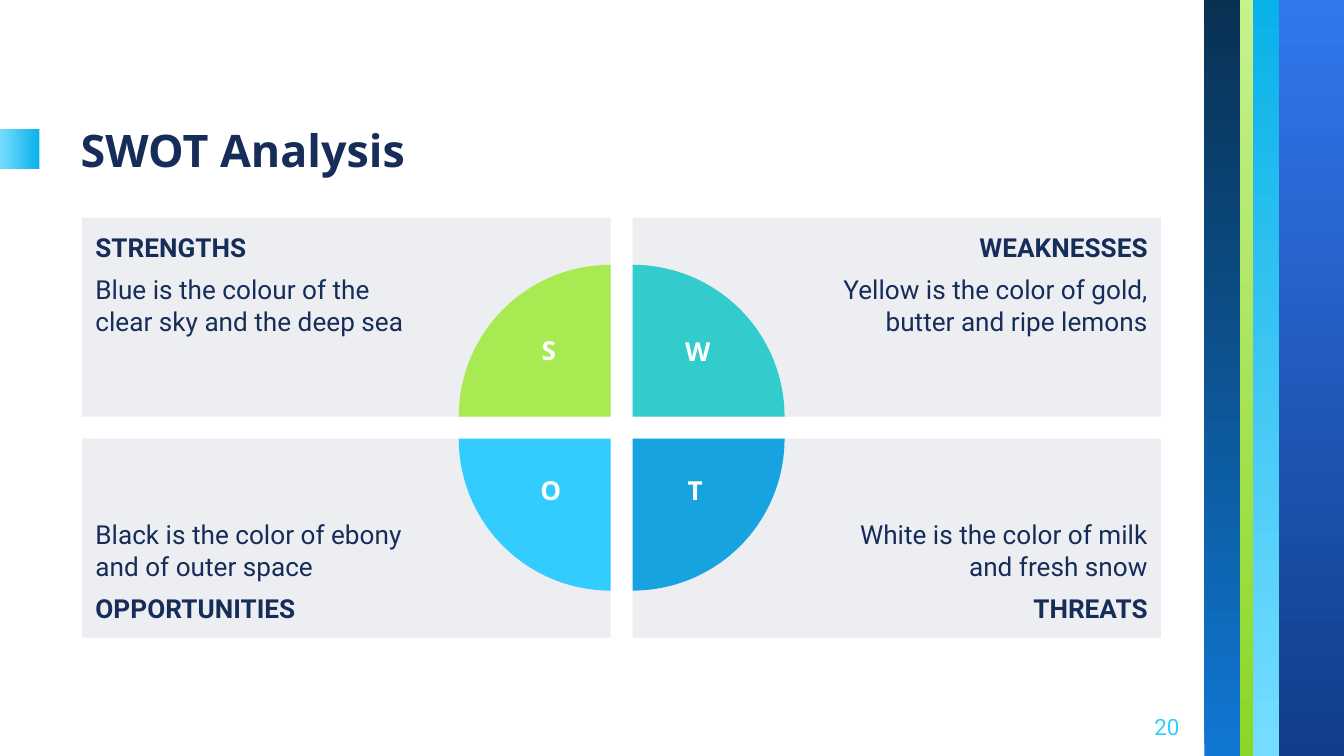
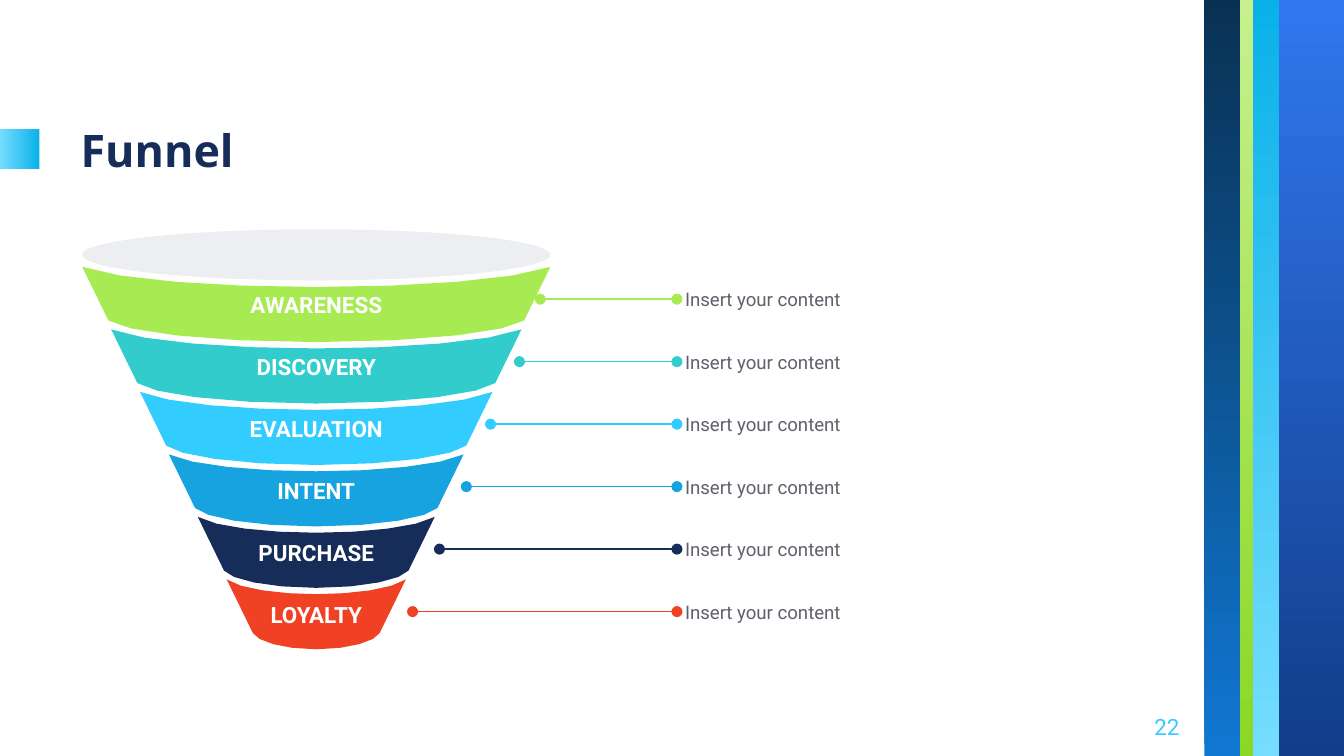
from lxml.etree import SubElement as Sub
from pptx import Presentation
from pptx.dml.color import RGBColor
from pptx.enum.shapes import MSO_CONNECTOR as Conn, MSO_SHAPE as Kind
from pptx.enum.text import MSO_ANCHOR as Anchor, MSO_AUTO_SIZE as Auto, PP_ALIGN as Align
from pptx.oxml.ns import qn
from pptx.util import Inches, Pt

WIDE, HIGH = 100, 56.25
NAVY, SKY, GREEN, TEAL, BLUE = "162D5A", "33CCFF", "A7EA52", "33CCCC", "16A3E0"
RED, PALE, GREY, WHITE = "F14124", "EDEEF1", "5E626B", "FFFFFF"
HEAD, BODY = "Open Sans", "Roboto"
BANDS = [
    (95.15, 0, 4.85, HIGH, 0, "3177EE", "113D8A"),
    (93.22, 0, 1.95, HIGH, 180, "75DDFF", "09B1E9"),
    (92.26, 0, 0.96, HIGH, 0, "C6F18D", "8AD824"),
    (89.6, 0, 2.66, HIGH, 180, "1077D2", "093153"),
    (0, 9.6, 2.94, 2.94, 270, "75DDFF", "09B1E9"),
]
SWOT = [
    ("S", (-4.6, -6.6, 2.9, 4.2), GREEN, "STRENGTHS",
     "Blue is the colour of the clear sky and the deep sea"),
    ("W", (4.84, -6.55, 6.2, 4.1), TEAL, "WEAKNESSES",
     "Yellow is the color of gold, butter and ripe lemons"),
    ("O", (-4.46, 2.15, 3.9, 4.2), SKY, "OPPORTUNITIES",
     "Black is the color of ebony and of outer space"),
    ("T", (4.65, 2.15, 3.7, 4.1), BLUE, "THREATS",
     "White is the color of milk and fresh snow"),
]
TIERS = [
    ("AWARENESS", GREEN, 40.2),
    ("DISCOVERY", TEAL, 38.65),
    ("EVALUATION", SKY, 36.5),
    ("INTENT", BLUE, 34.7),
    ("PURCHASE", NAVY, 32.7),
    ("LOYALTY", RED, 30.7),
]
RIM = [(1, 0), (0.85, 0.65), (0.42, 1), (0, 1)]
BASE = [(1, 0), (0.93, 0.5), (0.54, 1), (0, 1)]


def grid(*cells):
    return [Inches(cell / 10) for cell in cells]


def tint(code):
    return RGBColor.from_string(code)


def paint(shape, color):
    shape.shadow.inherit = False
    shape.fill.solid()
    shape.fill.fore_color.rgb = tint(color)
    shape.line.fill.background()
    return shape


def frame(shape, pads, anchor, wrap=True):
    text = shape.text_frame
    text.word_wrap, text.auto_size, text.vertical_anchor = wrap, Auto.NONE, anchor
    pads = grid(*pads)
    text.margin_left, text.margin_top, text.margin_right, text.margin_bottom = pads
    return text


def write(par, words, size, color, font=BODY, bold=False, align=Align.LEFT):
    par.alignment = align
    run = par.add_run()
    run.text = words
    run.font.size, run.font.name, run.font.bold = Pt(size), font, bold
    run.font.color.rgb = tint(color)


def label(shapes, box, words, size, color, pads=(1, 1, 1, 1),
          anchor=Anchor.MIDDLE, wrap=True, **look):
    text = frame(shapes.add_textbox(*grid(*box)), pads, anchor, wrap)
    write(text.paragraphs[0], words, size, color, **look)


def dress(layout, slide):
    for holder in list(layout.placeholders):
        if holder.placeholder_format.idx:
            holder.element.getparent().remove(holder.element)
    title = layout.placeholders[0]
    title.left, title.top, title.width, title.height = grid(5, 6.15, 58, 8)
    for x, y, w, h, turn, start, end in BANDS:
        band = slide.shapes.add_shape(Kind.RECTANGLE, *grid(x, y, w, h))
        band.shadow.inherit = False
        band.line.fill.background()
        band.rotation = turn
        band.fill.gradient()
        band.fill.gradient_angle = 270
        for stop, color in zip(band.fill.gradient_stops, (start, end)):
            stop.color.rgb = tint(color)
        layout.shapes.element.append(band.element)


def page(deck, layout, words, number):
    slide = deck.slides.add_slide(layout)
    text = frame(slide.shapes.title, (1, 1, 1, 1), Anchor.BOTTOM)
    write(text.paragraphs[0], words, 24, NAVY, font=HEAD, bold=True)
    label(slide.shapes, (82.75, 51.9, 6, 4.3), number, 12, SKY, align=Align.RIGHT)
    return slide


def panel(shapes, box, east, south, head, body):
    shape = paint(shapes.add_shape(Kind.RECTANGLE, *grid(*box)), PALE)
    pads = (15, 1, 1, 1) if east else (1, 1, 15, 1)
    text = frame(shape, pads, Anchor.BOTTOM if south else Anchor.TOP)
    rows = [(head, True), (body, False)]
    for i, (words, bold) in enumerate(rows[::-1] if south else rows):
        par = text.add_paragraph() if i else text.paragraphs[0]
        if i:
            par.space_before = par.space_after = Pt(6)
        write(par, words, 14, NAVY, bold=bold, align=Align.RIGHT if east else Align.LEFT)


def swot(shapes, left, top, wide, high, gap=1.64, size=22.6):
    w, h = (wide - gap) / 2, (high - gap) / 2
    spots = [(i % 2, i // 2) for i in range(4)]
    for (east, south), (_, _, _, head, body) in zip(spots, SWOT):
        box = (left + east * (w + gap), top + south * (h + gap), w, h)
        panel(shapes, box, east, south, head, body)
    for (east, south), (mark, (dx, dy, span, tall), color, _, _) in zip(spots, SWOT):
        x = left + w + east * gap
        y = top + h + south * gap
        pie = shapes.add_shape(Kind.PIE, *grid(x - size / 2, y - size / 2, size, size))
        paint(pie, color)
        pie.adjustments[0], pie.adjustments[1] = 108, 162
        pie.rotation = 90 * (3 * south - east if south else east)
        box = (x + dx - span / 2, y + dy, span, tall)
        label(shapes, box, mark, 14, WHITE, (1, 0.5, 1, 0.5), Anchor.TOP, False,
              font=HEAD, bold=True, align=Align.CENTER)


def curve(knots, wide, deep, steps=4):
    dots = []
    for i in range(steps + 1):
        t = i / steps
        mix = [(1 - t) ** 3, 3 * t * (1 - t) ** 2, 3 * t * t * (1 - t), t ** 3]
        x, y = (sum(m * k[n] for m, k in zip(mix, knots)) for n in (0, 1))
        dots.append((x * wide, y * deep))
    return dots


def tier(shapes, mid, top, half, rim, base, words, color):
    upper = curve(RIM, half, rim)
    lower = [(x, y + 4) for x, y in curve(BASE, half - 1.95, base)]
    side = upper[::-1] + lower
    dots = side + [(-x, y) for x, y in side[-2:0:-1]]
    dots = [grid(mid + x, top + y) for x, y in dots]
    path = shapes.build_freeform(*dots[0])
    path.add_line_segments(dots[1:], close=True)
    text = frame(paint(path.convert_to_shape(), color), (0.7, 0.4, 0.7, 0.4), Anchor.MIDDLE)
    write(text.paragraphs[0], words, 12, WHITE, bold=True, align=Align.CENTER)


def leader(shapes, start, end, y, color):
    line = shapes.add_connector(Conn.STRAIGHT, *grid(start, y, end, y))
    line.line.color.rgb = tint(color)
    line.line.width = Pt(0.75)
    props = line.element.spPr
    for tag in ("a:headEnd", "a:tailEnd"):
        Sub(props.find(qn("a:ln")), qn(tag), type="oval")
    Sub(props, qn("a:effectLst"))


def funnel(shapes, left, top, wide):
    cone = shapes.add_group_shape().shapes
    for i, (words, color, _) in enumerate(TIERS):
        tier(cone, left + wide / 2, top + 2.8 + 4.65 * i, wide / 2 - 2.15 * i,
             1.5 - 0.08 * i, 1.6 - 0.08 * i, words, color)
    paint(cone.add_shape(Kind.OVAL, *grid(left, top, wide, 3.8)), PALE)
    for i, (_, color, start) in enumerate(TIERS):
        y = top + 5.2 + 4.65 * i
        leader(shapes, start, left + 44.25, y, color)
        label(shapes, (left + 44.85, y - 1.65, 26.9, 3.3), "Insert your content",
              10, GREY, pads=(0, 0, 0, 0))


def main():
    deck = Presentation()
    deck.slide_width, deck.slide_height = grid(WIDE, HIGH)
    layout = deck.slide_layouts[5]
    first = page(deck, layout, "SWOT Analysis", "20")
    dress(layout, first)
    swot(first.shapes, 6.12, 16.2, 80.27, 31.25)
    last = page(deck, layout, "Funnel", "22")
    funnel(last.shapes, 6.12, 17.06, 34.83)
    deck.save("out.pptx")


if __name__ == "__main__":
    main()
